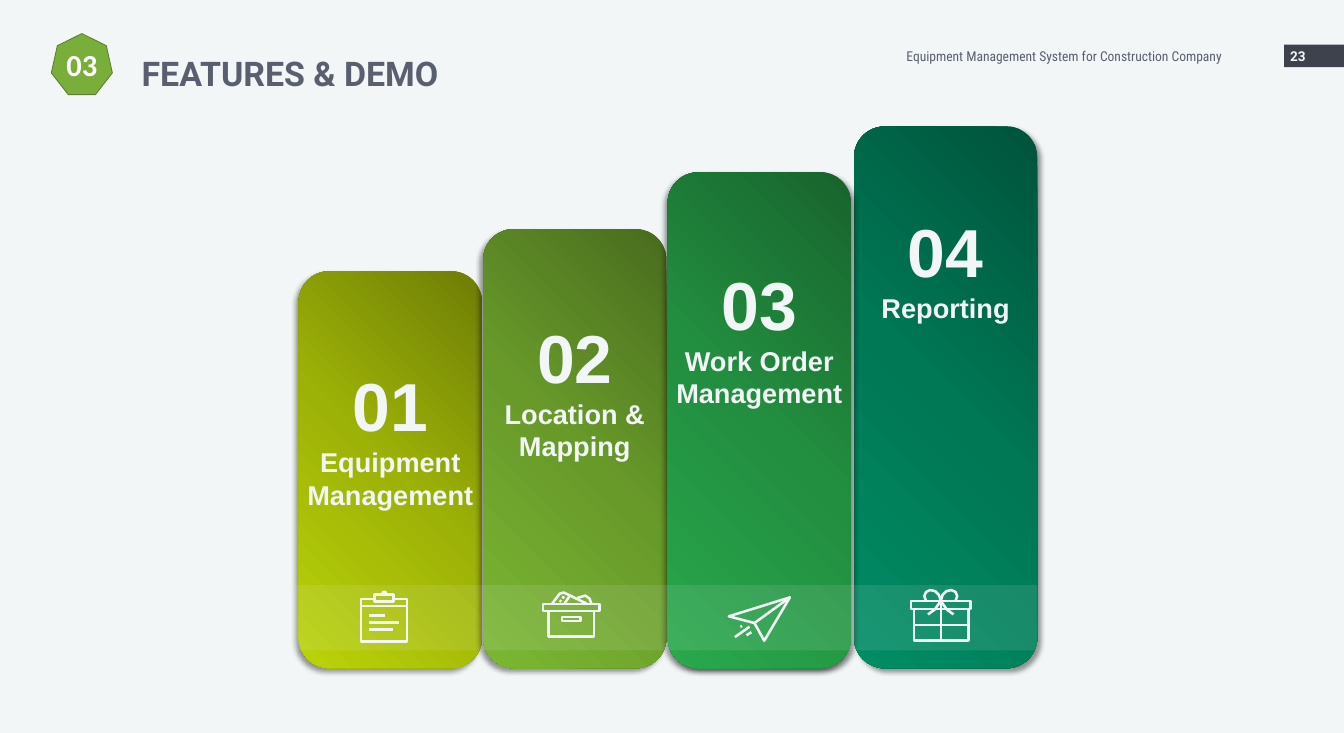
from copy import deepcopy

from lxml.etree import SubElement
from pptx import Presentation
from pptx.dml.color import RGBColor
from pptx.enum.shapes import MSO_SHAPE
from pptx.enum.text import MSO_ANCHOR, PP_ALIGN
from pptx.oxml.ns import qn
from pptx.util import Inches, Pt

PALE = RGBColor(0xF2, 0xF6, 0xF7)
WHITE = RGBColor(0xFF, 0xFF, 0xFF)
SLATE = RGBColor(0x59, 0x5F, 0x6F)
CHARCOAL = RGBColor(0x3D, 0x42, 0x4D)
BACKING = RGBColor(0x2B, 0x2E, 0x36)
LEAF = RGBColor(0x7A, 0xAE, 0x3B)
LEAF_EDGE = RGBColor(0x5A, 0x81, 0x2C)
OLIVE = [RGBColor(0x6E, 0x7D, 0x05), RGBColor(0x9D, 0xB2, 0x07), RGBColor(0xBA, 0xD3, 0x08)]
MOSS = [RGBColor(0x49, 0x6C, 0x1E), RGBColor(0x68, 0x9A, 0x2A), RGBColor(0x7B, 0xB7, 0x32)]
GREEN = [RGBColor(0x18, 0x64, 0x2D), RGBColor(0x22, 0x8E, 0x40), RGBColor(0x29, 0xA8, 0x4C)]
TEAL = [RGBColor(0x00, 0x54, 0x3B), RGBColor(0x00, 0x77, 0x55), RGBColor(0x00, 0x8D, 0x64)]

BAR_WIDTH = 3
BAR_BOTTOM = 10.94
GIFT_CENTRE = 1540


def box(left, top, right, bottom):
    """Return the closed outline of a rectangle."""
    return [(left, top), (right, top), (right, bottom), (left, bottom), (left, top)]


def mirror(points, centre):
    """Return the points reflected about a vertical axis."""
    return [(2 * centre - x, y) for x, y in points]


BOW = [(1540, 984), (1537, 974), (1531, 968), (1523, 966), (1516, 969), (1513, 976), (1516, 984)]
RIBBON = [(1540, 984), (1530, 998), (1519, 1006)]

CLIPBOARD = [
    [(613, 981), (591, 981), (591, 1050), (666, 1050), (666, 981), (644, 981)],
    box(613, 973, 644, 985),
    [(626, 973), (627, 969), (631, 969), (632, 973)],
    [(591, 992), (666, 992)],
    [(604, 1008), (631, 1008)],
    [(604, 1019), (653, 1019)],
    [(604, 1031), (644, 1031)],
]
FILE_BOX = [
    box(889, 989, 981, 1000),
    [(898, 1000), (898, 1042), (972, 1042), (972, 1000)],
    box(920, 1010, 950, 1017),
    [(904, 988), (916, 972), (923, 970), (933, 975), (924, 988)],
    [(933, 975), (960, 988)],
    [(945, 979), (958, 975), (965, 980), (968, 988)],
    [(916, 983), (919, 985)],
    [(920, 977), (924, 979)],
]
PAPER_PLANE = [
    [(1193, 1009), (1293, 978), (1251, 1049), (1235, 1020), (1193, 1009)],
    [(1235, 1020), (1293, 978)],
    [(1203, 1043), (1227, 1026)],
    [(1222, 1040), (1230, 1035)],
    [(1212, 1026), (1215, 1025)],
]
GIFT = [
    box(1491, 984, 1589, 997),
    [(1496, 997), (1496, 1049), (1585, 1049), (1585, 997)],
    [(GIFT_CENTRE, 984), (GIFT_CENTRE, 1049)],
    [(1496, 1023), (1585, 1023)],
    BOW, mirror(BOW, GIFT_CENTRE),
    RIBBON, mirror(RIBBON, GIFT_CENTRE),
]

STEPS = [
    ("01", "Equipment Management", 4.89, 4.44, 5.91, OLIVE, 135, CLIPBOARD),
    ("02", "Location & Mapping", 7.91, 3.75, 5.12, MOSS, 135, FILE_BOX),
    ("04", "Reporting", 13.98, 2.07, 3.38, TEAL, 45, GIFT),
    ("03", "Work Order Management", 10.93, 2.82, 4.25, GREEN, 135, PAPER_PLANE),
]


def write(tf, text, size, font="Arial", color=PALE, bold=True,
          align=PP_ALIGN.LEFT, spacing=None, new=False):
    """Write one formatted paragraph into a text frame."""
    p = tf.add_paragraph() if new else tf.paragraphs[0]
    p.alignment = align
    if spacing:
        p.line_spacing = spacing
    r = p.add_run()
    r.text = text
    r.font.size, r.font.name, r.font.bold = Pt(size), font, bold
    r.font.color.rgb = color


def add_text_box(s, left, top, width, height, anchor=MSO_ANCHOR.TOP):
    """Add a wrapping text box and return its text frame."""
    tf = s.shapes.add_textbox(Inches(left), Inches(top), Inches(width), Inches(height)).text_frame
    tf.word_wrap = True
    tf.vertical_anchor = anchor
    return tf


def add_shape(s, kind, left, top, width, height, fill=None):
    """Add a preset shape without line or shadow."""
    sp = s.shapes.add_shape(kind, Inches(left), Inches(top), Inches(width), Inches(height))
    sp.shadow.inherit = False
    sp.line.fill.background()
    if fill is not None:
        sp.fill.solid()
        sp.fill.fore_color.rgb = fill
    return sp


def add_shadow(sp, angle):
    """Give a shape a soft black shadow."""
    effects = sp.element.spPr.find(qn("a:effectLst"))
    shadow = SubElement(effects, qn("a:outerShdw"), blurRad=str(Pt(6)), dist=str(Pt(6)),
                        dir=str(angle * 60000), algn="ctr", rotWithShape="0")
    color = SubElement(shadow, qn("a:srgbClr"), val="000000")
    SubElement(color, qn("a:alpha"), val="40000")


def add_bar(s, left, top, angle, fill=None, gradient=None):
    """Add a rounded bar that stands on the common base."""
    sp = add_shape(s, MSO_SHAPE.ROUNDED_RECTANGLE, left, top, BAR_WIDTH, BAR_BOTTOM - top, fill)
    if gradient:
        sp.fill.gradient()
        sp.fill.gradient_angle = 225
        stops = sp.element.spPr.find(".//" + qn("a:gsLst"))
        stops.insert(1, deepcopy(stops[0]))
        for i, (stop, color) in enumerate(zip(sp.fill.gradient_stops, gradient)):
            stop.position = i / 2
            stop.color.rgb = color
    add_shadow(sp, angle)


def add_icon(s, strokes):
    """Draw an icon from strokes given in hundredths of an inch."""
    first, *others = strokes
    builder = s.shapes.build_freeform(*first[0], scale=Inches(0.01))
    builder.add_line_segments(first[1:], close=first[0] == first[-1])
    for stroke in others:
        builder.move_to(*stroke[0])
        builder.add_line_segments(stroke[1:], close=stroke[0] == stroke[-1])
    sp = builder.convert_to_shape()
    sp.shadow.inherit = False
    sp.fill.background()
    sp.line.color.rgb = PALE
    sp.line.width = Pt(3)


def add_header(s):
    """Add the section badge, title, running text and page number."""
    add_shape(s, MSO_SHAPE.RECTANGLE, 21.02, 0.73, 0.98, 0.37, CHARCOAL)
    write(add_text_box(s, 21.02, 0.6, 0.98, 0.64, MSO_ANCHOR.MIDDLE), "23", 16, font="Roboto")
    badge = add_shape(s, MSO_SHAPE.HEPTAGON, 0.84, 0.55, 1, 1, LEAF)
    badge.line.color.rgb = LEAF_EDGE
    badge.line.width = Pt(1)
    tf = badge.text_frame
    tf.word_wrap = False
    tf.vertical_anchor = MSO_ANCHOR.MIDDLE
    write(tf, "03", 36, font="Calibri", color=WHITE, align=PP_ALIGN.CENTER)
    write(add_text_box(s, 2.22, 0.61, 6.13, 0.89), "FEATURES & DEMO", 40,
          font="Roboto", color=SLATE, spacing=1.3)
    write(add_text_box(s, 12.68, 0.6, 7.42, 0.64, MSO_ANCHOR.MIDDLE),
          "Equipment Management System for Construction Company", 16,
          font="Roboto Condensed", color=SLATE, bold=False, align=PP_ALIGN.RIGHT)


def add_steps(s):
    """Add the four bars, the band across them, their texts and icons."""
    for number, _, left, top, _, gradient, angle, _ in STEPS:
        if number == "03":
            add_bar(s, left, top, 45, fill=BACKING)
        add_bar(s, left, top, angle, gradient=gradient)
    band = add_shape(s, MSO_SHAPE.RECTANGLE, 4.57, 9.58, 12.41, 1.07, PALE)
    color = band.element.spPr.find(".//" + qn("a:srgbClr"))
    SubElement(color, qn("a:alpha"), val="10000")
    for number, label, left, _, text_top, _, _, icon in sorted(STEPS, key=lambda step: step[0]):
        tf = add_text_box(s, left, text_top, BAR_WIDTH, 2.52)
        write(tf, number, 80, align=PP_ALIGN.CENTER)
        write(tf, label, 32, align=PP_ALIGN.CENTER, new=True)
        add_icon(s, icon)


def main():
    """Build and save the slide."""
    prs = Presentation()
    prs.slide_width, prs.slide_height = Inches(22), Inches(12)
    s = prs.slides.add_slide(prs.slide_layouts[6])
    s.background.fill.solid()
    s.background.fill.fore_color.rgb = PALE
    add_header(s)
    add_steps(s)
    prs.save("out.pptx")


if __name__ == "__main__":
    main()
